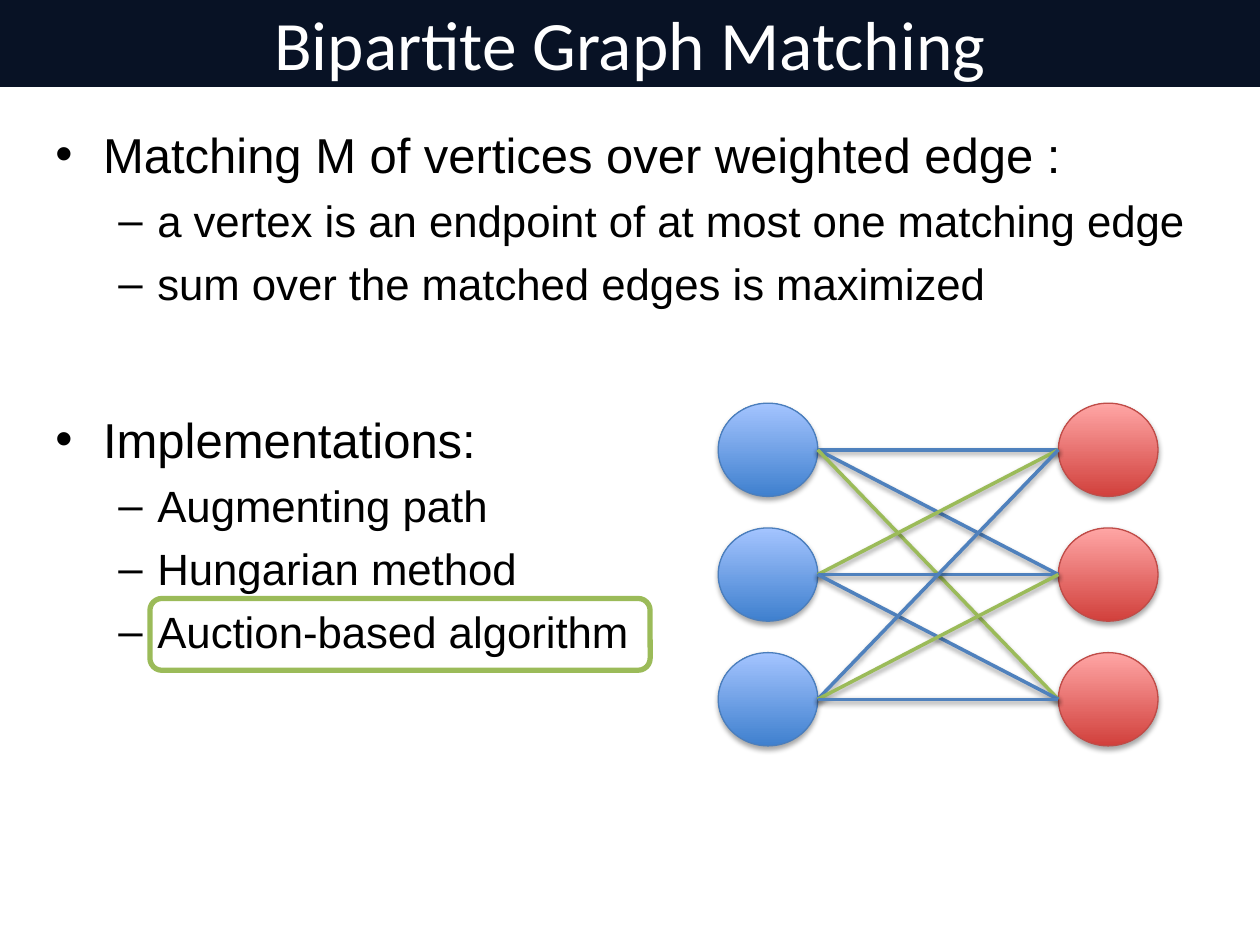
"""Build the Bipartite Graph Matching slide."""
from itertools import product

from lxml import etree
from pptx import Presentation
from pptx.dml.color import RGBColor
from pptx.enum.shapes import MSO_CONNECTOR, MSO_SHAPE
from pptx.enum.text import MSO_ANCHOR, PP_ALIGN
from pptx.oxml.ns import qn
from pptx.util import Inches, Pt

RECT, OVAL, ROUNDED = MSO_SHAPE.RECTANGLE, MSO_SHAPE.OVAL, MSO_SHAPE.ROUNDED_RECTANGLE
STRAIGHT = MSO_CONNECTOR.STRAIGHT
MIDDLE, CENTER = MSO_ANCHOR.MIDDLE, PP_ALIGN.CENTER

NAVY = RGBColor(0x08, 0x12, 0x25)
WHITE = RGBColor(0xFF, 0xFF, 0xFF)
BLACK = RGBColor(0, 0, 0)
EDGE_BLUE = RGBColor(0x4F, 0x81, 0xBD)
MATCH_GREEN = RGBColor(0x9B, 0xBB, 0x59)
BLUE_DARK, BLUE_LIGHT = RGBColor(0x3F, 0x80, 0xCE), RGBColor(0xA4, 0xC4, 0xFF)
BLUE_RIM = RGBColor(0x4B, 0x7E, 0xBC)
RED_DARK, RED_LIGHT = RGBColor(0xD1, 0x40, 0x3C), RGBColor(0xFF, 0xA6, 0xA5)
RED_RIM = RGBColor(0xBF, 0x4C, 0x48)

TITLE = "Bipartite Graph Matching"
SECTIONS = [
    (0.94, 1.69, "Matching M of vertices over weighted edge :",
     ["a vertex is an endpoint of at most one matching edge",
      "sum over the matched edges is maximized"]),
    (3.2, 2.31, "Implementations:",
     ["Augmenting path", "Hungarian method", "Auction-based algorithm"]),
]
HEADING = {"bullet": "•", "margin": 0.38, "hang": 0.38, "size": 28, "before": 3}
POINT = {"bullet": "–", "margin": 0.81, "hang": 0.31, "size": 25, "before": 6}

VERTEX_SIDES = [
    (5.7, BLUE_DARK, BLUE_LIGHT, BLUE_RIM),
    (8.4, RED_DARK, RED_LIGHT, RED_RIM),
]
MATCHED = {(0, 2), (1, 0), (2, 1)}
ROWS, ROW_TOP, ROW_PITCH = 3, 3.2, 0.99
VERTEX_W, VERTEX_H = 0.79, 0.74


def add_shadow(shape, opacity, distance):
    effects = etree.SubElement(shape._element.spPr, qn("a:effectLst"))
    shadow = etree.SubElement(effects, qn("a:outerShdw"), {
        "blurRad": str(Pt(3.1)), "dist": str(Pt(distance)),
        "dir": "5400000", "rotWithShape": "0"})
    color = etree.SubElement(shadow, qn("a:srgbClr"), val="000000")
    etree.SubElement(color, qn("a:alpha"), val=str(opacity * 1000))


def set_font(run, **values):
    for key, value in values.items():
        setattr(run.font, key, value)


def add_point(paragraph, text, style):
    paragraph.space_before = Pt(style["before"])
    properties = paragraph._p.get_or_add_pPr()
    properties.set("marL", str(Inches(style["margin"])))
    properties.set("indent", str(-Inches(style["hang"])))
    etree.SubElement(properties, qn("a:buFont"), typeface="Arial")
    etree.SubElement(properties, qn("a:buChar"), char=style["bullet"])
    run = paragraph.add_run()
    run.text = text
    set_font(run, name="Arial", size=Pt(style["size"]))
    run.font.color.rgb = BLACK


def add_title(shapes):
    band = shapes.add_shape(RECT, 0, 0, Inches(10), Inches(0.69))
    band.shadow.inherit = False
    band.fill.solid()
    band.fill.fore_color.rgb = NAVY
    band.line.fill.background()
    frame = shapes.add_textbox(0, 0, Inches(10), Inches(0.68)).text_frame
    frame.word_wrap = True
    frame.vertical_anchor = MIDDLE
    paragraph = frame.paragraphs[0]
    paragraph.alignment = CENTER
    run = paragraph.add_run()
    run.text = TITLE
    set_font(run, name="Calibri", size=Pt(39.6))
    run.font.color.rgb = WHITE


def add_section(shapes, top, height, heading, points):
    frame = shapes.add_textbox(
        Inches(0.34), Inches(top), Inches(9.39), Inches(height)).text_frame
    frame.word_wrap = True
    add_point(frame.paragraphs[0], heading, HEADING)
    for point in points:
        paragraph = frame.add_paragraph()
        paragraph.level = 1
        add_point(paragraph, point, POINT)


def add_vertex(shapes, row, left, dark, light, rim):
    vertex = shapes.add_shape(
        OVAL, Inches(left), Inches(ROW_TOP + row * ROW_PITCH),
        Inches(VERTEX_W), Inches(VERTEX_H))
    vertex.fill.gradient()
    vertex.fill.gradient_angle = 90
    for stop, color in zip(vertex.fill.gradient_stops, (dark, light)):
        stop.color.rgb = color
    vertex.line.color.rgb = rim
    vertex.line.width = Pt(0.75)
    add_shadow(vertex, 35, 1.8)


def add_edge(shapes, start, end):
    start_x, end_x = VERTEX_SIDES[0][0] + VERTEX_W, VERTEX_SIDES[1][0]
    start_y, end_y = (ROW_TOP + row * ROW_PITCH + VERTEX_H / 2 for row in (start, end))
    edge = shapes.add_connector(
        STRAIGHT, Inches(start_x), Inches(start_y), Inches(end_x), Inches(end_y))
    edge.line.color.rgb = MATCH_GREEN if (start, end) in MATCHED else EDGE_BLUE
    edge.line.width = Pt(2)
    add_shadow(edge, 38, 1.6)


def add_highlight(shapes):
    highlight = shapes.add_shape(
        ROUNDED, Inches(1.19), Inches(4.75), Inches(3.97), Inches(0.57))
    highlight.shadow.inherit = False
    highlight.fill.background()
    highlight.line.color.rgb = MATCH_GREEN
    highlight.line.width = Pt(3)


def main():
    deck = Presentation()
    deck.slide_width, deck.slide_height = Inches(10), Inches(7.5)
    shapes = deck.slides.add_slide(deck.slide_layouts[6]).shapes
    add_title(shapes)
    for section in SECTIONS:
        add_section(shapes, *section)
    for side, row in product(VERTEX_SIDES, range(ROWS)):
        add_vertex(shapes, row, *side)
    for start, end in product(range(ROWS), repeat=2):
        add_edge(shapes, start, end)
    add_highlight(shapes)
    deck.save("out.pptx")


if __name__ == "__main__":
    main()
